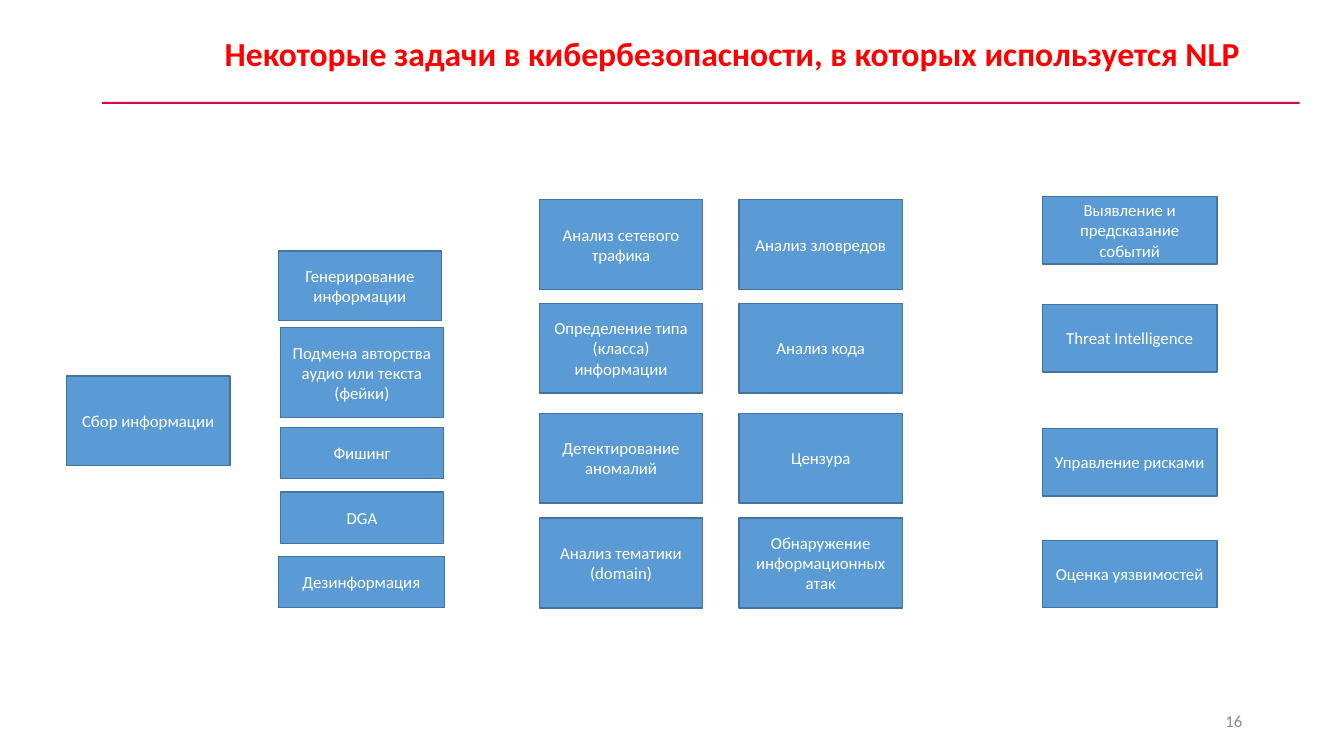
from dataclasses import dataclass

from pptx import Presentation
from pptx.dml.color import RGBColor as Color
from pptx.enum.shapes import MSO_SHAPE as Preset
from pptx.enum.text import MSO_ANCHOR as Anchor, PP_ALIGN as Align
from pptx.util import Inches, Pt


@dataclass(frozen=True)
class Theme:
    """Fonts, colours and type sizes of the slide."""
    font: str = "Calibri"
    title: str = "FF0000"
    rule: str = "E20443"
    box: str = "5B9BD5"
    outline: str = "43739E"
    box_text: str = "FFFFFF"
    number: str = "8C8C8C"
    title_size: int = 24
    body_size: int = 12


class SlideBuilder:
    """Draws elements on one slide in one theme."""

    def __init__(self, slide, theme):
        """Keep the slide and its theme."""
        self.slide = slide
        self.theme = theme

    def set_text(self, shape, text, size, color, align, anchor, bold=False):
        """Put formatted text into a shape."""
        frame = shape.text_frame
        frame.text = text
        frame.word_wrap = True
        frame.vertical_anchor = anchor
        paragraph = frame.paragraphs[0]
        paragraph.alignment = align
        font = paragraph.runs[0].font
        font.name = self.theme.font
        font.size = Pt(size)
        font.bold = bold
        font.color.rgb = Color.from_string(color)

    def rectangle(self, left, top, width, height, fill):
        """Add a plain filled rectangle."""
        shape = self.slide.shapes.add_shape(
            Preset.RECTANGLE, Inches(left), Inches(top), Inches(width), Inches(height))
        shape.shadow.inherit = False
        shape.fill.solid()
        shape.fill.fore_color.rgb = Color.from_string(fill)
        shape.line.fill.background()
        return shape

    def task(self, text, left, top, width, height):
        """Add an outlined box naming a task."""
        shape = self.rectangle(left, top, width, height, self.theme.box)
        shape.line.color.rgb = Color.from_string(self.theme.outline)
        shape.line.width = Pt(1)
        self.set_text(shape, text, self.theme.body_size, self.theme.box_text,
                      Align.CENTER, Anchor.MIDDLE)

    def column(self, left, width, height, tasks):
        """Add equal task boxes below each other from (top, text) pairs."""
        for top, text in tasks:
            self.task(text, left, top, width, height)

    def label(self, text, left, top, width, height, *style, bold=False):
        """Add a text box."""
        shape = self.slide.shapes.add_textbox(
            Inches(left), Inches(top), Inches(width), Inches(height))
        self.set_text(shape, text, *style, bold=bold)


ANALYSIS_TOPS = (1.98, 3.01, 4.1, 5.14)
ANALYSIS_COLUMNS = {
    5.35: ("Анализ сетевого трафика", "Определение типа (класса) информации",
           "Детектирование аномалий", "Анализ тематики (domain)"),
    7.33: ("Анализ зловредов", "Анализ кода", "Цензура",
           "Обнаружение информационных атак"),
}
ATTACKS = (
    ("Генерирование информации", 2.76, 2.49, 1.62, 0.69),
    ("Подмена авторства аудио или текста (фейки)", 2.78, 3.25, 1.62, 0.89),
    ("Фишинг", 2.78, 4.24, 1.62, 0.51),
    ("DGA", 2.78, 4.88, 1.62, 0.51),
    ("Дезинформация", 2.76, 5.52, 1.65, 0.51),
)
MANAGEMENT = (
    (1.95, "Выявление и предсказание событий"),
    (3.02, "Threat Intelligence"),
    (4.25, "Управление рисками"),
    (5.36, "Оценка уязвимостей"),
)


def main():
    """Build and save the slide."""
    presentation = Presentation()
    presentation.slide_width = Inches(13.33)
    presentation.slide_height = Inches(7.5)
    theme = Theme()
    slide = presentation.slides.add_slide(presentation.slide_layouts[6])
    builder = SlideBuilder(slide, theme)

    builder.rectangle(1.01, 1.01, 11.88, 0.02, theme.rule)
    builder.label("Некоторые задачи в кибербезопасности, в которых используется NLP",
                  2.13, 0.28, 10.68, 0.5, theme.title_size, theme.title,
                  Align.LEFT, Anchor.TOP, bold=True)
    builder.label("16", 9.42, 6.95, 3, 0.4, theme.body_size, theme.number,
                  Align.RIGHT, Anchor.MIDDLE)

    builder.task("Сбор информации", 0.66, 3.73, 1.62, 0.89)
    for attack in ATTACKS:
        builder.task(*attack)
    for left, texts in ANALYSIS_COLUMNS.items():
        builder.column(left, 1.62, 0.89, zip(ANALYSIS_TOPS, texts))
    builder.column(10.34, 1.73, 0.67, MANAGEMENT)

    presentation.save("out.pptx")


if __name__ == "__main__":
    main()
